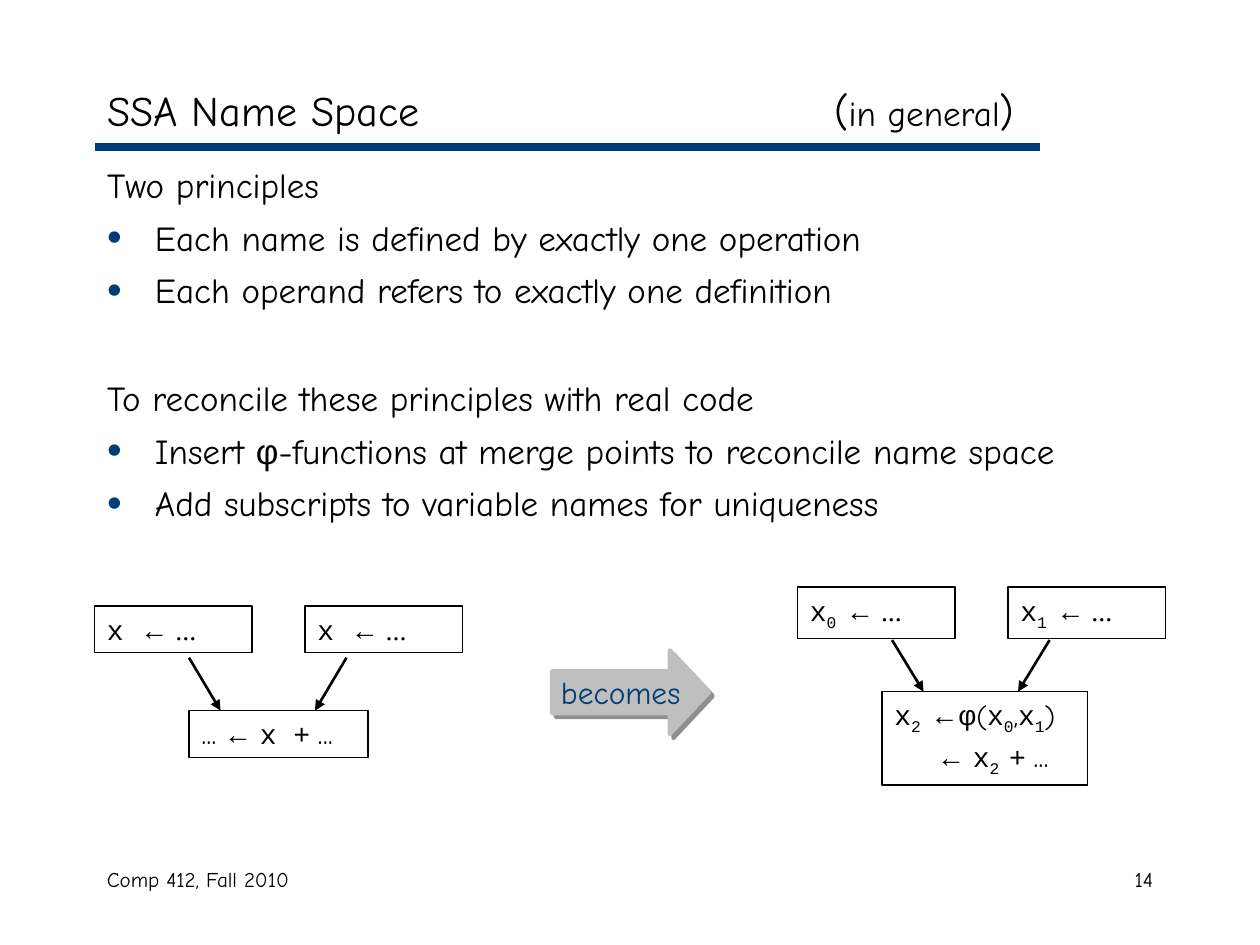
from lxml import etree
from pptx import Presentation
from pptx import util as u
from pptx.dml import color
from pptx.enum import shapes, text
from pptx.oxml import ns

BLACK, BLUE, GREY = "000000", "003C75", "BFBFBF"
COMIC, ARIAL, COURIER = "Comic Neue", "Arial", "Courier New"
TIMES, QUICKSAND = "Times New Roman", "Quicksand"


def rgb(value):
    return color.RGBColor.from_string(value)


def add_runs(paragraph, runs):
    for wording, font, size, style in runs:
        run = paragraph.add_run()
        run.text = wording
        run.font.name = font
        run.font.size = u.Pt(size)
        run.font.color.rgb = rgb(BLACK)
        if style == "italic":
            run.font.italic = True
        if style == "sub":
            run.font._element.set("baseline", "-25000")


presentation = Presentation()
presentation.slide_width = u.Inches(10)
presentation.slide_height = u.Inches(7.5)
slide = presentation.slides.add_slide(presentation.slide_layouts[1])
title, body = slide.placeholders

for placeholder, top, height, anchor in [
    (title, 0.58, 0.58, text.MSO_ANCHOR.MIDDLE),
    (body, 1.25, 5.42, text.MSO_ANCHOR.TOP),
]:
    placeholder.left, placeholder.top = u.Inches(0.75), u.Inches(top)
    placeholder.width, placeholder.height = u.Inches(8.5), u.Inches(height)
    placeholder.text_frame.vertical_anchor = anchor
    placeholder.text_frame.auto_size = text.MSO_AUTO_SIZE.NONE

heading = title.text_frame.paragraphs[0]
heading.alignment = text.PP_ALIGN.LEFT
tabs = etree.SubElement(heading._p.get_or_add_pPr(), ns.qn("a:tabLst"))
etree.SubElement(tabs, ns.qn("a:tab"), pos=str(u.Inches(5.77)), algn="l")
add_runs(heading, [
    ("SSA Name Space\t(", COMIC, 24, ""),
    ("in general", COMIC, 20, ""),
    (")", COMIC, 24, ""),
])

principles = [
    (False, 0, [("Two principles", COMIC)]),
    (True, 6, [("Each name is defined by exactly one operation", COMIC)]),
    (True, 6, [("Each operand refers to exactly one definition", COMIC)]),
    (False, 37.5, [("To reconcile these principles with real code", COMIC)]),
    (True, 6, [("Insert ", COMIC), ("φ", ARIAL),
               ("-functions at merge points to reconcile name space", COMIC)]),
    (True, 6, [("Add subscripts to variable names for uniqueness", COMIC)]),
]
for index, (bulleted, space, parts) in enumerate(principles):
    frame = body.text_frame
    paragraph = frame.add_paragraph() if index else frame.paragraphs[0]
    properties = paragraph._p.get_or_add_pPr()
    properties.set("marL", str(u.Inches(0.38)))
    properties.set("indent", str(u.Inches(-0.38)))
    if bulleted:
        bullet_color = etree.SubElement(properties, ns.qn("a:buClr"))
        etree.SubElement(bullet_color, ns.qn("a:srgbClr"), val=BLUE)
        etree.SubElement(properties, ns.qn("a:buSzPct"), val="120000")
        etree.SubElement(properties, ns.qn("a:buChar"), char="•")
    else:
        etree.SubElement(properties, ns.qn("a:buNone"))
    paragraph.space_before = u.Pt(space)
    add_runs(paragraph, [(wording, font, 20, "") for wording, font in parts])

for left, width, wording, alignment in [
    (0.75, 3.17, "Comp 412, Fall 2010", text.PP_ALIGN.LEFT),
    (7.17, 2.08, "14", text.PP_ALIGN.RIGHT),
]:
    footer = slide.shapes.add_textbox(
        u.Inches(left), u.Inches(6.83), u.Inches(width), u.Inches(0.5))
    footer.text_frame.word_wrap = True
    paragraph = footer.text_frame.paragraphs[0]
    paragraph.alignment = alignment
    add_runs(paragraph, [(wording, COMIC, 12, "")])

arrow_dots = [("←", ARIAL, 16, "italic"), (" ...", TIMES, 16, "")]
plain_assignment = [("x ", COURIER, 16, "")] + arrow_dots
x, zero, one, two = [(wording, COURIER, 16, style) for wording, style in [
    ("x", ""), ("0", "sub"), ("1", "sub"), ("2 ", "sub")]]
left_arrow = ("← ", ARIAL, 16, "italic")
plain_use = [("... ", QUICKSAND, 16, ""), left_arrow,
             ("x +", COURIER, 16, ""), (" ...", QUICKSAND, 16, "")]
phi_merge = [x, two, ("←φ", ARIAL, 16, ""), ("(", QUICKSAND, 16, ""),
             x, zero, (",", COMIC, 16, ""), x, one, (")", QUICKSAND, 16, "")]
phi_use = [left_arrow, x, two, ("+", COURIER, 16, ""), (" ...", QUICKSAND, 16, "")]

blocks = [
    (0.75, 4.81, 1.25, 0.37, [plain_assignment]),
    (2.42, 4.81, 1.25, 0.37, [plain_assignment]),
    (1.5, 5.64, 1.42, 0.37, [plain_use]),
    (6.33, 4.66, 1.25, 0.41, [[x, ("0 ", COURIER, 16, "sub")] + arrow_dots]),
    (8, 4.66, 1.25, 0.41, [[x, ("1 ", COURIER, 16, "sub")] + arrow_dots]),
    (7, 5.49, 1.63, 0.74, [phi_merge, phi_use]),
]
for left, top, width, height, lines in blocks:
    block = slide.shapes.add_shape(
        shapes.MSO_SHAPE.RECTANGLE,
        u.Inches(left), u.Inches(top), u.Inches(width), u.Inches(height))
    block.shadow.inherit = False
    block.fill.background()
    block.line.color.rgb = rgb(BLACK)
    block.line.width = u.Pt(0.75)
    frame = block.text_frame
    frame.word_wrap = True
    frame.auto_size = text.MSO_AUTO_SIZE.SHAPE_TO_FIT_TEXT
    frame.vertical_anchor = text.MSO_ANCHOR.TOP
    for index, line in enumerate(lines):
        paragraph = frame.add_paragraph() if index else frame.paragraphs[0]
        paragraph.alignment = text.PP_ALIGN.LEFT
        if index:
            paragraph.space_before = u.Pt(2)
            paragraph._p.get_or_add_pPr().set("marL", str(u.Inches(0.34)))
        add_runs(paragraph, line)

connectors = [
    (0.75, 1.17, 8.25, 1.17, BLUE, 4.5, False),
    (1.5, 5.22, 1.75, 5.64, BLACK, 1.5, True),
    (2.75, 5.22, 2.5, 5.64, BLACK, 1.5, True),
    (7.08, 5.08, 7.33, 5.49, BLACK, 1.5, True),
    (8.33, 5.08, 8.08, 5.49, BLACK, 1.5, True),
]
for x1, y1, x2, y2, line_color, weight, arrowhead in connectors:
    connector = slide.shapes.add_connector(
        shapes.MSO_CONNECTOR.STRAIGHT,
        u.Inches(x1), u.Inches(y1), u.Inches(x2), u.Inches(y2))
    connector.line.color.rgb = rgb(line_color)
    connector.line.width = u.Pt(weight)
    properties = connector._element.spPr
    if arrowhead:
        etree.SubElement(properties.find(ns.qn("a:ln")), ns.qn("a:tailEnd"), type="triangle")
    etree.SubElement(properties, ns.qn("a:effectLst"))

becomes = slide.shapes.add_shape(
    shapes.MSO_SHAPE.RIGHT_ARROW,
    u.Inches(4.38), u.Inches(5.16), u.Inches(1.25), u.Inches(0.67))
becomes.adjustments[0] = 0.5
becomes.adjustments[1] = 0.47
becomes.fill.solid()
becomes.fill.fore_color.rgb = rgb(GREY)
becomes.line.color.rgb = rgb(GREY)
becomes.line.width = u.Pt(2.25)
becomes.shadow.inherit = False
effects = becomes._element.spPr.find(ns.qn("a:effectLst"))
shadow = etree.SubElement(effects, ns.qn("a:outerShdw"), blurRad="0",
                          dist=str(u.Pt(3)), dir="2700000", algn="ctr", rotWithShape="0")
shadow_color = etree.SubElement(shadow, ns.qn("a:srgbClr"), val=BLACK)
etree.SubElement(shadow_color, ns.qn("a:alpha"), val="43000")
becomes.text_frame.text = "becomes"
becomes.text_frame.word_wrap = False
becomes.text_frame.vertical_anchor = text.MSO_ANCHOR.MIDDLE
paragraph = becomes.text_frame.paragraphs[0]
paragraph.alignment = text.PP_ALIGN.CENTER
label = paragraph.runs[0].font
label.name, label.size = COMIC, u.Pt(18)
label.color.rgb = rgb(BLUE)

presentation.save("out.pptx")
